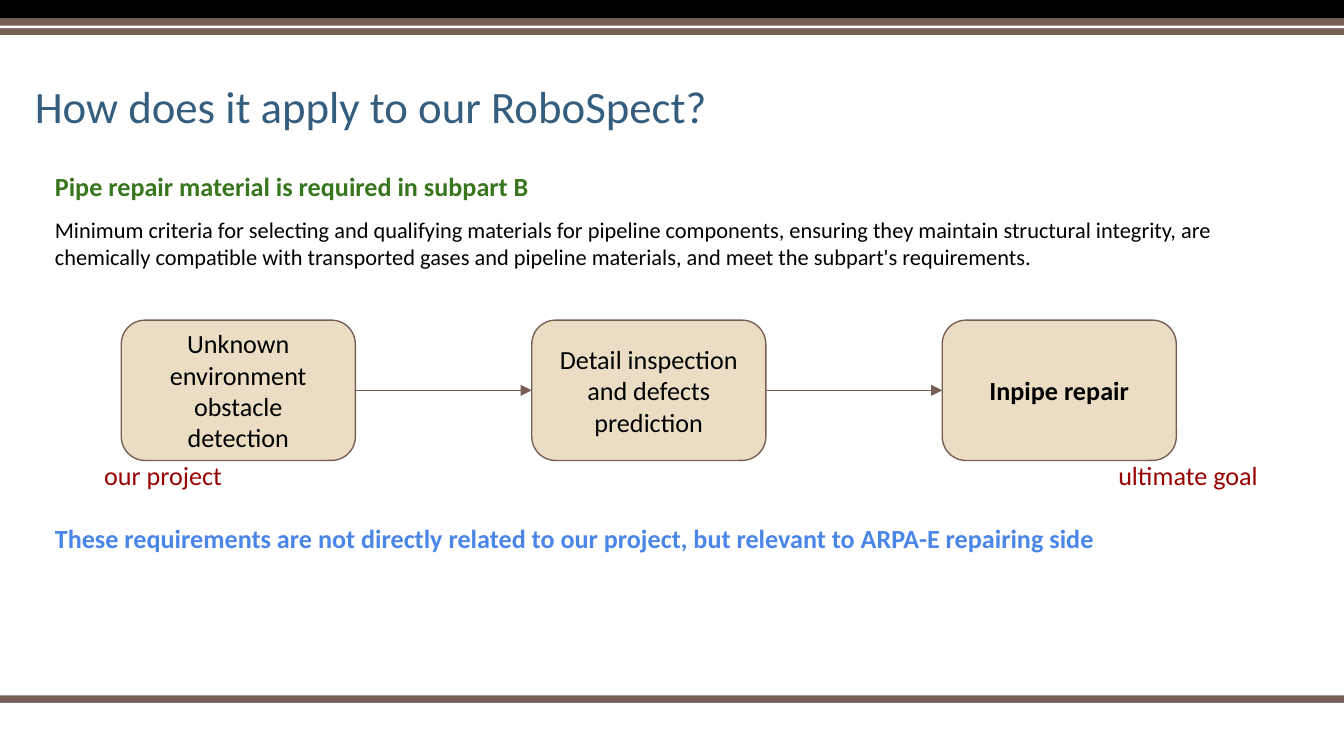
from dataclasses import dataclass

from lxml.etree import SubElement
from pptx import Presentation
from pptx.dml.color import RGBColor
from pptx.enum.shapes import MSO_CONNECTOR, MSO_SHAPE
from pptx.enum.text import MSO_ANCHOR, MSO_AUTO_SIZE, PP_ALIGN
from pptx.oxml.ns import qn
from pptx.shapes.autoshape import Shape
from pptx.slide import Slide
from pptx.text.text import TextFrame
from pptx.util import Pt


@dataclass(frozen=True)
class Theme:
    font: str = "Calibri"
    title_size: float = 24
    main_size: float = 14
    detail_size: float = 12
    title: str = "345D7E"
    heading: str = "38761D"
    conclusion: str = "4A86E8"
    caption: str = "980000"
    ink: str = "000000"
    brown: str = "775F55"
    sand: str = "EBDDC3"
    white: str = "FFFFFF"
    line_width: float = 0.75


@dataclass(frozen=True)
class Band:
    top: float
    height: float
    color: str


@dataclass(frozen=True)
class Note:
    text: str
    left: float
    top: float
    width: float
    height: float
    color: str
    size: float = 14
    bold: bool = False


@dataclass(frozen=True)
class Step:
    text: str
    bold: bool = False


THEME = Theme()
SLIDE_WIDTH, SLIDE_HEIGHT = 720, 405
TEXT_LEFT = 22.3
STEP_LEFT, STEP_TOP, STEP_WIDTH, STEP_HEIGHT = 65, 171.5, 125.4, 75.2
STEP_PITCH = 219.9
CAPTION_TOP, CAPTION_WIDTH, CAPTION_HEIGHT = 239.1, 99.4, 21.6

BANDS = [
    Band(372.5, 4.1, THEME.brown),
    Band(376.6, 1.4, THEME.white),
    Band(0, 10, THEME.ink),
    Band(10, 8.7, THEME.brown),
    Band(13.7, 1.4, THEME.white),
]

NOTES = [
    Note("Pipe repair material is required in subpart B",
         TEXT_LEFT, 84.2, 553, 31.7, THEME.heading, bold=True),
    Note("Minimum criteria for selecting and qualifying materials for pipeline "
         "components, ensuring they maintain structural integrity, are chemically "
         "compatible with transported gases and pipeline materials, and meet the "
         "subpart's requirements.",
         TEXT_LEFT, 108.7, 675.4, 49, THEME.ink, THEME.detail_size),
    Note("These requirements are not directly related to our project, but relevant "
         "to ARPA-E repairing side",
         TEXT_LEFT, 272.9, 616.3, 31.7, THEME.conclusion, bold=True),
    Note("our project", 48.7, CAPTION_TOP, CAPTION_WIDTH, CAPTION_HEIGHT, THEME.caption),
    Note("ultimate goal", 592, CAPTION_TOP, CAPTION_WIDTH, CAPTION_HEIGHT, THEME.caption),
]

STEPS = [
    Step("Unknown environment obstacle detection"),
    Step("Detail inspection and defects prediction"),
    Step("Inpipe repair", bold=True),
]


def rgb(color: str) -> RGBColor:
    return RGBColor.from_string(color)


def set_margins(frame: TextFrame, side: float, vertical: float) -> None:
    frame.margin_left = frame.margin_right = Pt(side)
    frame.margin_top = frame.margin_bottom = Pt(vertical)
    frame.word_wrap = True
    frame.auto_size = MSO_AUTO_SIZE.NONE


def write(frame: TextFrame, text: str, size: float, color: str,
          bold: bool = False, align: PP_ALIGN = PP_ALIGN.LEFT) -> None:
    paragraph = frame.paragraphs[0]
    paragraph.alignment = align
    run = paragraph.add_run()
    run.text = text
    run.font.name = THEME.font
    run.font.size = Pt(size)
    run.font.bold = bold
    run.font.color.rgb = rgb(color)


def draw_band(slide: Slide, band: Band) -> None:
    bar = slide.shapes.add_shape(MSO_SHAPE.RECTANGLE, 0, Pt(band.top),
                                 Pt(SLIDE_WIDTH), Pt(band.height))
    bar.shadow.inherit = False
    bar.fill.solid()
    bar.fill.fore_color.rgb = rgb(band.color)
    bar.line.fill.background()


def draw_title(slide: Slide, text: str) -> None:
    title = slide.shapes.title
    title.left, title.top, title.width, title.height = Pt(13.7), Pt(36), Pt(616.3), Pt(38.2)
    frame = title.text_frame
    set_margins(frame, 5, 2.9)
    frame.vertical_anchor = MSO_ANCHOR.BOTTOM
    write(frame, text, THEME.title_size, THEME.title)
    frame.paragraphs[0].line_spacing = 0.9


def draw_note(slide: Slide, note: Note) -> None:
    box = slide.shapes.add_textbox(Pt(note.left), Pt(note.top), Pt(note.width), Pt(note.height))
    set_margins(box.text_frame, 7.2, 7.2)
    write(box.text_frame, note.text, note.size, note.color, note.bold)


def draw_step(slide: Slide, step: Step, index: int) -> Shape:
    box = slide.shapes.add_shape(
        MSO_SHAPE.ROUNDED_RECTANGLE, Pt(STEP_LEFT + index * STEP_PITCH), Pt(STEP_TOP),
        Pt(STEP_WIDTH), Pt(STEP_HEIGHT))
    box.shadow.inherit = False
    box.adjustments[0] = 0.17
    box.fill.solid()
    box.fill.fore_color.rgb = rgb(THEME.sand)
    box.line.color.rgb = rgb(THEME.brown)
    box.line.width = Pt(THEME.line_width)
    set_margins(box.text_frame, 7.2, 7.2)
    box.text_frame.vertical_anchor = MSO_ANCHOR.MIDDLE
    write(box.text_frame, step.text, THEME.main_size, THEME.ink, step.bold, PP_ALIGN.CENTER)
    return box


def draw_arrow(slide: Slide, source: Shape, target: Shape) -> None:
    arrow = slide.shapes.add_connector(MSO_CONNECTOR.STRAIGHT, 0, 0, 0, 0)
    arrow.begin_connect(source, 3)
    arrow.end_connect(target, 1)
    arrow.line.color.rgb = rgb(THEME.brown)
    arrow.line.width = Pt(THEME.line_width)
    properties = arrow.line._get_or_add_ln()
    SubElement(properties, qn("a:tailEnd"), type="triangle")
    SubElement(properties.getparent(), qn("a:effectLst"))


def main() -> None:
    deck = Presentation()
    deck.slide_width, deck.slide_height = Pt(SLIDE_WIDTH), Pt(SLIDE_HEIGHT)
    slide = deck.slides.add_slide(deck.slide_layouts.get_by_name("Title Only"))

    # Top and bottom bands
    for band in BANDS:
        draw_band(slide, band)

    # Title
    draw_title(slide, "How does it apply to our RoboSpect?")

    # Process from detection to repair
    boxes = [draw_step(slide, step, index) for index, step in enumerate(STEPS)]
    for source, target in zip(boxes, boxes[1:]):
        draw_arrow(slide, source, target)

    # Explanations and captions
    for note in NOTES:
        draw_note(slide, note)

    deck.save("out.pptx")


if __name__ == "__main__":
    main()
